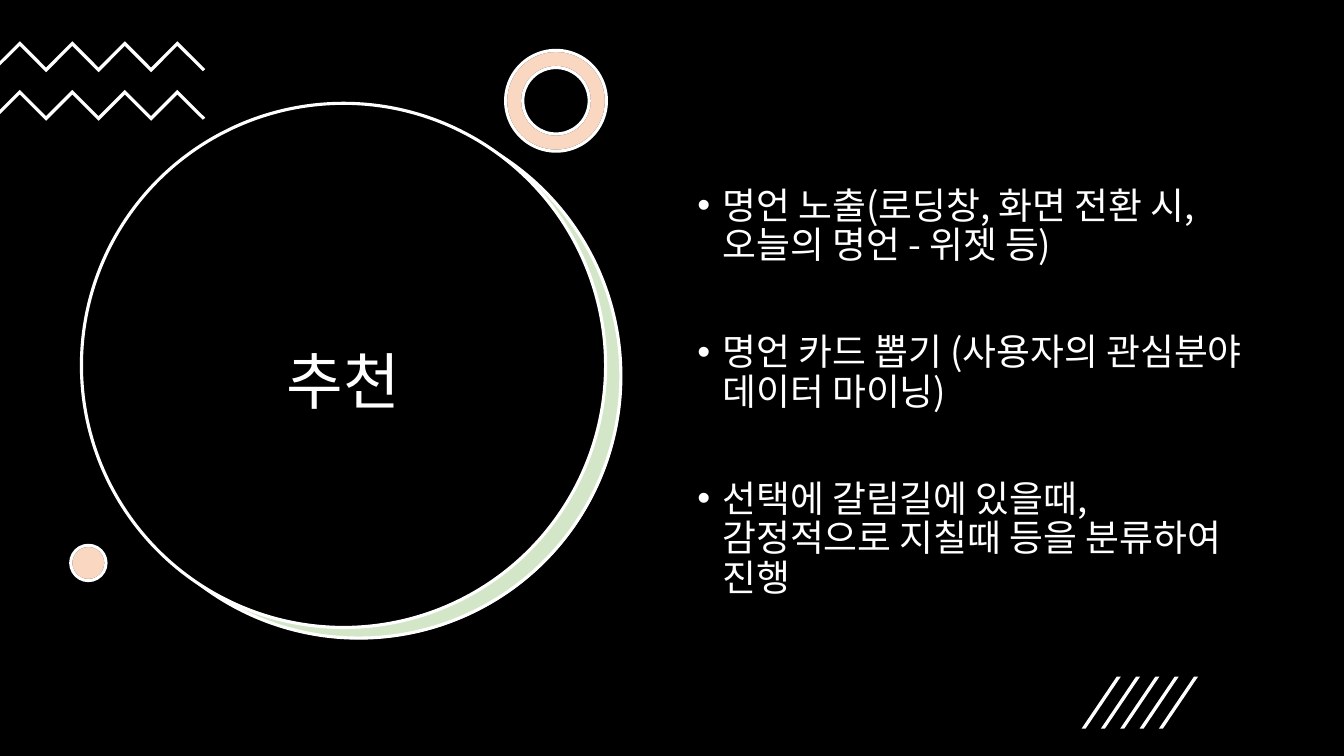
from dataclasses import dataclass

from lxml.etree import SubElement
from pptx import Presentation
from pptx.dml.color import RGBColor
from pptx.enum.shapes import MSO_SHAPE
from pptx.enum.text import MSO_ANCHOR, PP_ALIGN
from pptx.oxml.ns import qn
from pptx.util import Pt


@dataclass(frozen=True)
class Theme:
    black: RGBColor = RGBColor(0x00, 0x00, 0x00)
    white: RGBColor = RGBColor(0xFF, 0xFF, 0xFF)
    green: RGBColor = RGBColor(0x70, 0xAD, 0x47)
    orange: RGBColor = RGBColor(0xED, 0x7D, 0x31)
    font: str = "Noto Sans CJK KR"
    title_size: float = 44
    body_size: float = 26.3
    outline: float = 2.25


theme = Theme()


def paint(shape, fill, line=None, opacity=None):
    shape.shadow.inherit = False
    shape.fill.solid()
    shape.fill.fore_color.rgb = fill
    if opacity:
        color = shape.element.spPr.find(qn("a:solidFill"))[0]
        SubElement(color, qn("a:alpha")).set("val", str(opacity * 1000))
    if line is None:
        shape.line.fill.background()
    else:
        shape.line.color.rgb = line
        shape.line.width = Pt(theme.outline)


def write(paragraph, text, size):
    run = paragraph.add_run()
    run.text = text
    run.font.size = Pt(size)
    run.font.color.rgb = theme.white
    run.font.name = theme.font
    SubElement(run.font._element, qn("a:ea")).set("typeface", theme.font)


deck = Presentation()
deck.slide_width, deck.slide_height = Pt(960), Pt(540)
slide = deck.slides.add_slide(deck.slide_layouts[5])
shapes = slide.shapes

backdrop = shapes.add_shape(MSO_SHAPE.RECTANGLE, 0, 0, Pt(960), Pt(540))
paint(backdrop, theme.black)

for left, top, fill, line, opacity in [
    (69.8, 82.1, theme.white, None, None),
    (69.1, 81.4, theme.green, theme.white, 30),
    (58.2, 73.8, theme.black, theme.white, None),
]:
    disc = shapes.add_shape(MSO_SHAPE.OVAL, Pt(left), Pt(top), Pt(374.4), Pt(374.4))
    paint(disc, fill, line, opacity)

title = shapes.title
title.left, title.top, title.width, title.height = Pt(86.5), Pt(147.8), Pt(317.5), Pt(253.4)
title.element.getparent().append(title.element)
title.text_frame.word_wrap = True
title.text_frame.vertical_anchor = MSO_ANCHOR.MIDDLE
heading = title.text_frame.paragraphs[0]
heading.alignment = PP_ALIGN.CENTER
heading.line_spacing = 0.9
write(heading, "추천", theme.title_size)

zigzags = shapes.add_group_shape()
for top in (29.5, 64.2):
    upper = [(14.2 + 18.75 * i, top + 18.8 * (i % 2)) for i in range(7)]
    lower = [(x, y + 3.3) for x, y in reversed(upper)]
    ends = [(146.6, top + 19.9), (144.9, top + 21.4)]
    edge = [(0, top + 17.3), (0, top + 14.2)]
    outline = [(Pt(x), Pt(y)) for x, y in upper + ends + lower + edge]
    builder = zigzags.shapes.build_freeform(*outline[0], scale=1.0)
    builder.add_line_segments(outline[1:], close=True)
    paint(builder.convert_to_shape(), theme.white)

for kind, left, top, size in [
    (MSO_SHAPE.DONUT, 361.2, 36, 72),
    (MSO_SHAPE.OVAL, 50.5, 389.5, 25.2),
]:
    for fill, line, opacity in [
        (theme.white, theme.black, None),
        (theme.orange, theme.white, 30),
    ]:
        ornament = shapes.add_shape(kind, Pt(left), Pt(top), Pt(size), Pt(size))
        if kind == MSO_SHAPE.DONUT:
            ornament.adjustments[0] = 0.17
        paint(ornament, fill, line, opacity)

ideas = shapes.add_textbox(Pt(491), Pt(133.8), Pt(411.1), Pt(297)).text_frame
ideas.word_wrap = True
ideas.margin_top = ideas.margin_bottom = 0
for index, idea in enumerate([
    "명언 노출(로딩창, 화면 전환 시, 오늘의 명언 - 위젯 등)",
    "명언 카드 뽑기 (사용자의 관심분야 데이터 마이닝)",
    "선택에 갈림길에 있을때, 감정적으로 지칠때 등을 분류하여 진행",
]):
    item = ideas.add_paragraph() if index else ideas.paragraphs[0]
    properties = item._p.get_or_add_pPr()
    properties.set("marL", str(Pt(18)))
    properties.set("indent", str(-Pt(18)))
    SubElement(properties, qn("a:buFont")).set("typeface", "Arial")
    SubElement(properties, qn("a:buChar")).set("char", "•")
    item.line_spacing = 0.9
    item.space_before = Pt(47.8 if index else 0)
    write(item, idea, theme.body_size)

slashes = shapes.add_group_shape()
for i in range(5):
    left = 772.6 + 13.8 * i
    corners = [(2.9, 520.4), (0, 520.4), (25.1, 483.3), (28, 483.3)]
    outline = [(Pt(left + x), Pt(y)) for x, y in corners]
    builder = slashes.shapes.build_freeform(*outline[0], scale=1.0)
    builder.add_line_segments(outline[1:], close=True)
    paint(builder.convert_to_shape(), theme.white)

deck.save("out.pptx")
